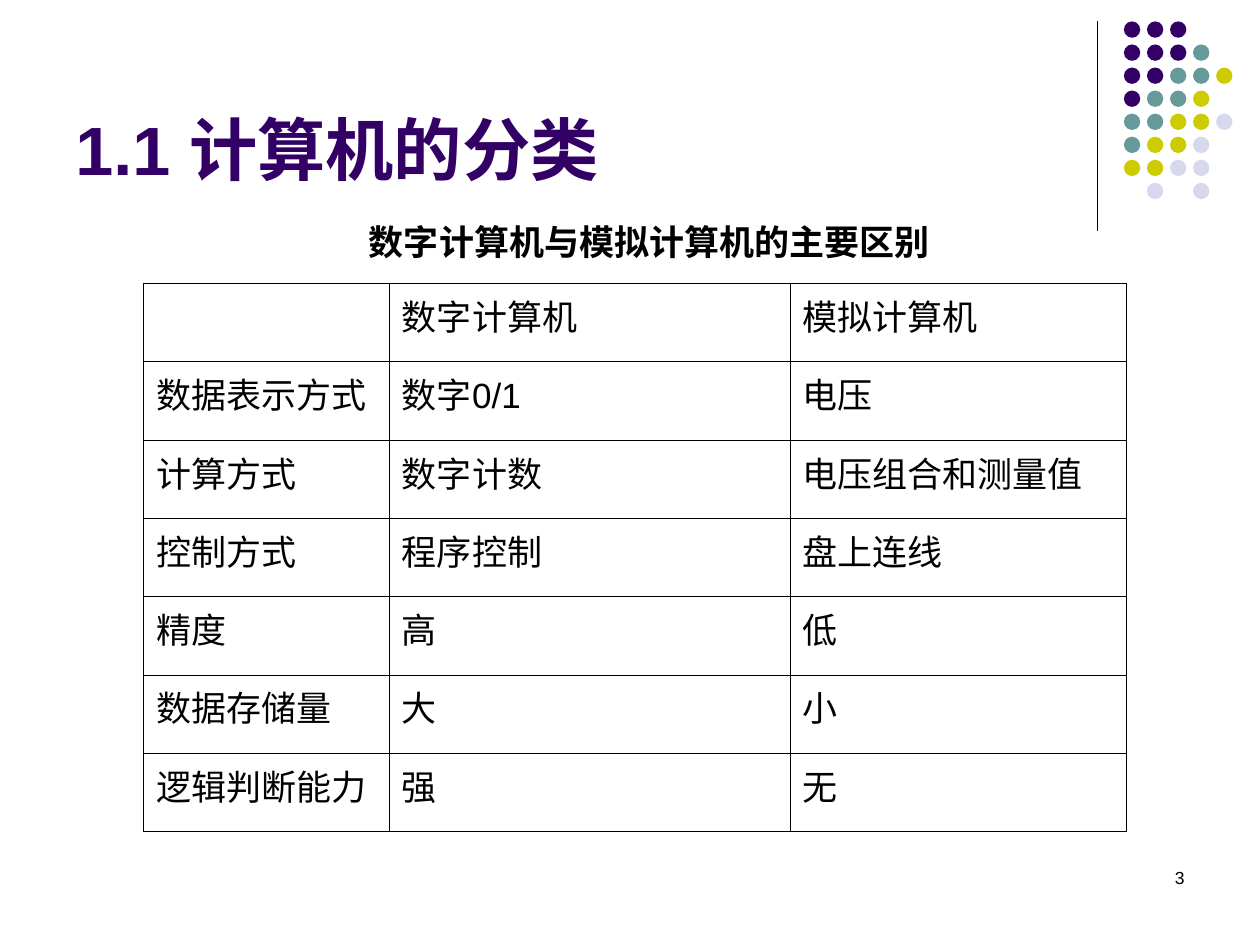
from pptx import Presentation
from pptx.dml.color import RGBColor
from pptx.enum import shapes, text
from pptx.oxml import ns
from pptx.util import Inches, Pt
from lxml import etree

FONT = "Arial"
BLACK, PURPLE, TEAL, OLIVE, LAVENDER = "000000", "330066", "669999", "CCCC00", "D8D8EC"
DOT_COLORS = {"P": PURPLE, "T": TEAL, "Y": OLIVE, "L": LAVENDER}
DOT_ROWS = ["PPP", "PPPT", "PPTTY", "PTTY", "TTYYL", "TYYL", "YYLL", ".L.L"]
COMPARISON = [
    ["", "数字计算机", "模拟计算机"],
    ["数据表示方式", "数字0/1", "电压"],
    ["计算方式", "数字计数", "电压组合和测量值"],
    ["控制方式", "程序控制", "盘上连线"],
    ["精度", "高", "低"],
    ["数据存储量", "大", "小"],
    ["逻辑判断能力", "强", "无"],
]
COLUMN_WIDTHS = [1.95, 3.18, 2.67]
OUTER_EDGE, INNER_EDGE = 1.08, 0.45


def rgb(hex_color):
    return RGBColor.from_string(hex_color)


def add_run(paragraph, words, size, color=BLACK, bold=False):
    run = paragraph.add_run()
    run.text = words
    run.font.name = FONT
    run.font.size = Pt(size)
    run.font.bold = bold
    run.font.color.rgb = rgb(color)


def add_label(slide, box, words, size, color=BLACK, bold=False, wrap=True,
              align=text.PP_ALIGN.LEFT, anchor=text.MSO_ANCHOR.TOP):
    label = slide.shapes.add_textbox(*map(Inches, box))
    frame = label.text_frame
    frame.word_wrap = wrap
    frame.vertical_anchor = anchor
    frame.paragraphs[0].alignment = align
    add_run(frame.paragraphs[0], words, size, color, bold)


def add_dot_corner(slide, left, top, height):
    """Draw the vertical rule and the dot pattern to its right."""
    rule = slide.shapes.add_connector(
        shapes.MSO_CONNECTOR.STRAIGHT,
        Inches(left), Inches(top), Inches(left), Inches(top + height))
    rule.line.color.rgb = rgb(BLACK)
    rule.line.width = Pt(0.75)
    etree.SubElement(rule.element.spPr, ns.qn("a:effectLst"))

    dots_left = left + 0.21
    pitch = height / 9.07
    diameter = Inches(0.13)
    for row, codes in enumerate(DOT_ROWS):
        for column, code in enumerate(codes):
            if code not in DOT_COLORS:
                continue
            dot = slide.shapes.add_shape(
                shapes.MSO_SHAPE.OVAL, Inches(dots_left + column * pitch),
                Inches(top + row * pitch), diameter, diameter)
            dot.shadow.inherit = False
            dot.fill.solid()
            dot.fill.fore_color.rgb = rgb(DOT_COLORS[code])
            dot.line.fill.background()


def set_borders(cell, widths):
    """Draw the cell's edges; widths are points for left, right, top, bottom."""
    properties = cell._tc.get_or_add_tcPr()
    for side, width in zip("LRTB", widths):
        edge = etree.SubElement(properties, ns.qn(f"a:ln{side}"), w=str(Pt(width)))
        fill = etree.SubElement(edge, ns.qn("a:solidFill"))
        etree.SubElement(fill, ns.qn("a:srgbClr"), val=BLACK)


def add_comparison_table(slide, left, top, width, height):
    row_count, column_count = len(COMPARISON), len(COLUMN_WIDTHS)
    table = slide.shapes.add_table(
        row_count, column_count,
        *map(Inches, (left, top, width, height))).table
    table.first_row = table.horz_banding = False
    for column, column_width in zip(table.columns, COLUMN_WIDTHS):
        column.width = Inches(column_width)
    for row in table.rows:
        row.height = Inches(height / row_count)

    for r, entries in enumerate(COMPARISON):
        for c, words in enumerate(entries):
            cell = table.cell(r, c)
            on_outside = (c == 0, c == column_count - 1, r == 0, r == row_count - 1)
            set_borders(cell, [OUTER_EDGE if outer else INNER_EDGE for outer in on_outside])
            cell.fill.background()
            if words:
                paragraph = cell.text_frame.paragraphs[0]
                paragraph.space_before = Pt(5)
                add_run(paragraph, words, 20)


def main():
    deck = Presentation()
    deck.slide_width, deck.slide_height = Inches(10), Inches(7.5)
    slide = deck.slides.add_slide(deck.slide_layouts[6])

    add_dot_corner(slide, 8.71, 0.17, 1.66)
    add_label(slide, (7.17, 6.83, 2.33, 0.5), "3", 10, align=text.PP_ALIGN.RIGHT)
    add_label(slide, (0.5, 0.13, 8.25, 1.42), "1.1 计算机的分类", 39, PURPLE,
              bold=True, anchor=text.MSO_ANCHOR.BOTTOM)
    add_comparison_table(slide, 1.14, 2.25, sum(COLUMN_WIDTHS), 4.35)
    add_label(slide, (2.83, 1.7, 4.65, 0.44), "数字计算机与模拟计算机的主要区别", 20,
              bold=True, wrap=False)

    deck.save("out.pptx")


if __name__ == "__main__":
    main()
